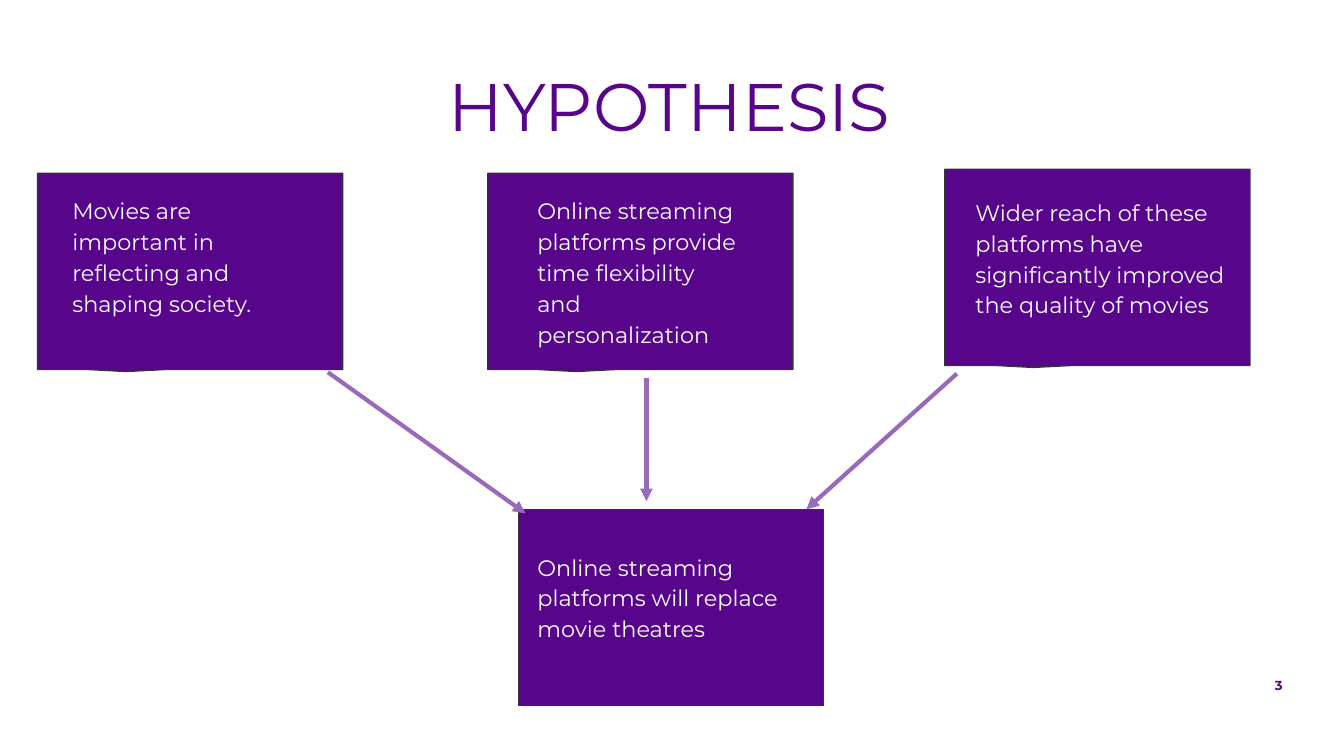
from dataclasses import dataclass

from lxml.etree import SubElement
from pptx import Presentation
from pptx.dml.color import RGBColor
from pptx.enum.shapes import MSO_CONNECTOR, MSO_SHAPE
from pptx.enum.text import MSO_ANCHOR, PP_ALIGN
from pptx.oxml.ns import qn
from pptx.slide import Slide
from pptx.util import Inches, Pt

COLOURS = {"purple": "57068C", "outline": "333333", "arrow": "9A6ABA", "white": "FFFFFF"}
FONT = "Montserrat"
CALLOUT_WIDTH, CALLOUT_HEIGHT = 2.27, 1.46
INSET = 0.1


@dataclass(frozen=True)
class Label:
    text: str
    left: float
    top: float
    width: float
    height: float
    size: float = 12
    colour: str = "white"
    bold: bool = False
    alignment: PP_ALIGN = PP_ALIGN.LEFT
    line_spacing: float = 1.15
    text_drop: float = 0


@dataclass(frozen=True)
class Statement:
    left: float
    top: float
    pointer: tuple[float, float]
    label: Label


@dataclass(frozen=True)
class Arrow:
    start: tuple[float, float]
    end: tuple[float, float]


TITLE = Label("HYPOTHESIS", 0.34, 0.47, 9.28, 0.89, 36, "purple", False, PP_ALIGN.CENTER, 0.85)
PAGE_NUMBER = Label("3", 5.05, 4.94, 4.59, 0.34, 7, "purple", True, PP_ALIGN.RIGHT, 1.0, 0.04)
STATEMENTS = [
    Statement(0.28, 1.29, (-0.21, 0.51), Label(
        "Movies are important in reflecting and shaping society.", 0.44, 1.34, 1.73, 1.37)),
    Statement(3.63, 1.29, (-0.21, 0.51), Label(
        "Online streaming platforms provide time flexibility and personalization",
        3.9, 1.34, 1.73, 1.83)),
    Statement(7.03, 1.26, (-0.21, 0.51), Label(
        "Wider reach of these platforms have significantly improved the quality of movies",
        7.16, 1.35, 2.34, 1.57)),
    Statement(3.86, 3.79, (-0.2, 0.5), Label(
        "Online streaming platforms will replace movie theatres", 3.9, 3.99, 2.21, 1.07)),
]
ARROWS = [
    Arrow((2.44, 2.77), (3.91, 3.82)),
    Arrow((7.12, 2.78), (6, 3.79)),
    Arrow((4.81, 2.81), (4.81, 3.73)),
]


def colour_of(name: str) -> RGBColor:
    """Return the named palette colour."""
    return RGBColor.from_string(COLOURS[name])


def add_label(slide: Slide, label: Label) -> None:
    """Add a wrapped text box, its text lowered by the label's drop."""
    box = slide.shapes.add_textbox(
        Inches(label.left), Inches(label.top), Inches(label.width), Inches(label.height))
    text_frame = box.text_frame
    text_frame.word_wrap = True
    text_frame.vertical_anchor = MSO_ANCHOR.TOP
    text_frame.margin_left = text_frame.margin_right = Inches(INSET)
    text_frame.margin_top = Inches(INSET + label.text_drop)
    text_frame.margin_bottom = Inches(INSET - label.text_drop)
    text_frame.text = label.text
    paragraph = text_frame.paragraphs[0]
    paragraph.alignment = label.alignment
    paragraph.line_spacing = label.line_spacing
    font = paragraph.runs[0].font
    font.name = FONT
    font.size = Pt(label.size)
    font.bold = label.bold
    font.color.rgb = colour_of(label.colour)


def add_statement(slide: Slide, statement: Statement) -> None:
    """Add a square-cornered callout and its text."""
    callout = slide.shapes.add_shape(
        MSO_SHAPE.ROUNDED_RECTANGULAR_CALLOUT, Inches(statement.left), Inches(statement.top),
        Inches(CALLOUT_WIDTH), Inches(CALLOUT_HEIGHT))
    for index, value in enumerate((*statement.pointer, 0)):
        callout.adjustments[index] = value
    callout.shadow.inherit = False
    callout.fill.solid()
    callout.fill.fore_color.rgb = colour_of("purple")
    callout.line.color.rgb = colour_of("outline")
    callout.line.width = Pt(0.75)
    add_label(slide, statement.label)


def add_arrow(slide: Slide, arrow: Arrow) -> None:
    """Add a straight connector with a triangular head at its end."""
    points = [Inches(value) for value in (*arrow.start, *arrow.end)]
    connector = slide.shapes.add_connector(MSO_CONNECTOR.STRAIGHT, *points)
    connector.line.color.rgb = colour_of("arrow")
    connector.line.width = Pt(2.25)
    properties = connector._element.spPr
    SubElement(properties.find(qn("a:ln")), qn("a:tailEnd"), type="triangle")
    SubElement(properties, qn("a:effectLst"))


def main() -> None:
    """Build the hypothesis slide and save it."""
    presentation = Presentation()
    presentation.slide_width = Inches(10)
    presentation.slide_height = Inches(10 * 9 / 16)
    slide = presentation.slides.add_slide(presentation.slide_layouts[6])
    add_label(slide, PAGE_NUMBER)
    add_label(slide, TITLE)
    for statement in STATEMENTS:
        add_statement(slide, statement)
    for arrow in ARROWS:
        add_arrow(slide, arrow)
    presentation.save("out.pptx")


if __name__ == "__main__":
    main()
